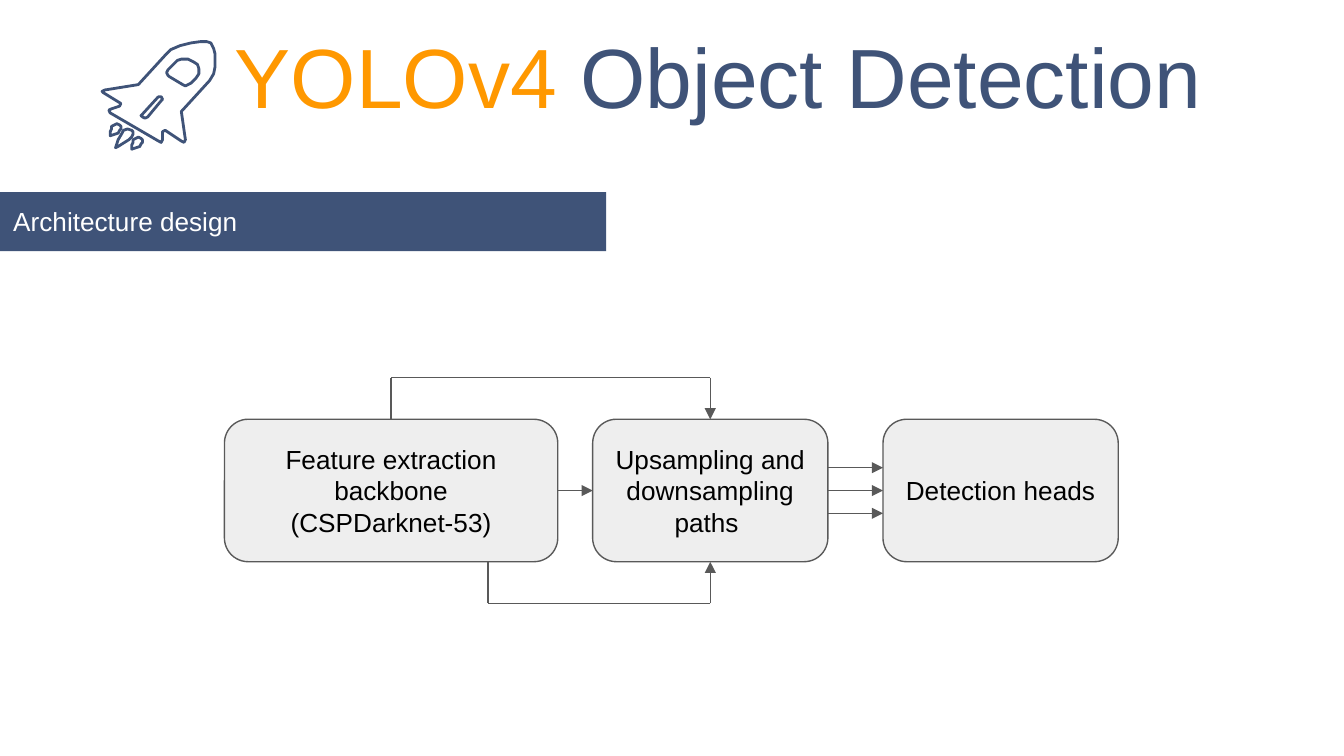
from lxml import etree
from pptx import Presentation
from pptx.dml.color import RGBColor
from pptx.enum.shapes import MSO_CONNECTOR, MSO_SHAPE
from pptx.enum.text import MSO_ANCHOR, PP_ALIGN
from pptx.oxml.ns import qn
from pptx.util import Inches, Pt

COLORS = {
    "navy": "3F5378",
    "orange": "FF9800",
    "white": "FFFFFF",
    "box": "EEEEEE",
    "outline": "595959",
    "text": "000000",
}
FONT = "Arial"
TOP, LEFT, BOTTOM, RIGHT = range(4)  # connection sites

# Rocket outlines in hundredths of an inch
HULL = [
    (138, 104), (135, 83), (156, 60), (159, 55), (160, 50),
    (160, 40), (159, 36), (157, 32), (154, 31), (149, 31),
    (142, 32), (134, 34), (127, 37), (124, 40), (103, 63),
    (78, 67), (76, 68), (77, 69), (90, 77), (89, 79),
    (83, 81), (81, 82), (82, 84), (118, 105), (120, 106),
    (121, 104), (121, 98), (123, 97), (135, 105), (137, 106),
]
SLOT = [
    (110, 87), (108, 88), (106, 87), (105, 86), (106, 85),
    (117, 73), (118, 72), (120, 72), (121, 74), (120, 75),
]
WINDOW = [
    (142, 62), (140, 63), (138, 64), (136, 63), (126, 57),
    (125, 56), (124, 54), (125, 52), (129, 48), (132, 45),
    (135, 44), (140, 44), (144, 46), (147, 48), (148, 51),
    (148, 55), (146, 58),
]
LARGE_FLAME = [
    (98, 97), (95, 96), (92, 97), (91, 99), (88, 104), (86, 110),
    (88, 109), (96, 104), (98, 102), (99, 100), (99, 98),
]
SMALL_FLAME = [
    (89, 93), (87, 92), (85, 93), (83, 94), (83, 96), (82, 98),
    (82, 101), (85, 100), (88, 99), (89, 97), (90, 96), (90, 94),
]


def color(name):
    return RGBColor.from_string(COLORS[name])


def format_run(run, size, color_name):
    run.font.name = FONT
    run.font.size = Pt(size)
    run.font.color.rgb = color(color_name)


def set_margins(frame):
    frame.margin_left = frame.margin_right = Inches(0.1)
    frame.margin_top = frame.margin_bottom = Inches(0.1)
    frame.word_wrap = True


def add_title(slide, parts):
    shape = slide.shapes.add_textbox(Inches(1.65), Inches(0.08), Inches(7.84), Inches(1.27))
    frame = shape.text_frame
    set_margins(frame)
    for text, color_name in parts:
        run = frame.paragraphs[0].add_run()
        run.text = text
        format_run(run, 45, color_name)


def add_outline(slide, *contours):
    builder = slide.shapes.build_freeform(*contours[0][0], scale=Inches(0.01))
    builder.add_line_segments(contours[0][1:], close=True)
    for contour in contours[1:]:
        builder.move_to(*contour[0])
        builder.add_line_segments(contour[1:], close=True)
    shape = builder.convert_to_shape()
    shape.shadow.inherit = False
    shape.fill.background()
    shape.line.color.rgb = color("navy")
    shape.line.width = Pt(1.5)


def add_box(slide, kind, left, top, width, height, text, fill, text_color, align, anchor,
            outline=None):
    shape = slide.shapes.add_shape(kind, Inches(left), Inches(top), Inches(width), Inches(height))
    shape.shadow.inherit = False
    shape.fill.solid()
    shape.fill.fore_color.rgb = color(fill)
    if outline:
        shape.line.color.rgb = color(outline)
        shape.line.width = Pt(0.75)
    else:
        shape.line.fill.background()
    frame = shape.text_frame
    set_margins(frame)
    frame.vertical_anchor = anchor
    frame.text = text
    paragraph = frame.paragraphs[0]
    paragraph.alignment = align
    format_run(paragraph.runs[0], 14, text_color)
    return shape


def add_line(slide, start, end, arrow=True):
    points = [Inches(value) for value in (*start, *end)]
    connector = slide.shapes.add_connector(MSO_CONNECTOR.STRAIGHT, *points)
    connector.line.color.rgb = color("outline")
    connector.line.width = Pt(0.75)
    if arrow:
        tail = etree.SubElement(connector.line._get_or_add_ln(), qn("a:tailEnd"))
        tail.set("type", "triangle")
    etree.SubElement(connector._element.spPr, qn("a:effectLst"))
    return connector


def add_detour(slide, start_x, end_x, edge_y, level_y):
    """Route out from one box edge, along a level, and back into another box."""
    first = add_line(slide, (start_x, edge_y), (start_x, level_y), arrow=False)
    add_line(slide, (start_x, level_y), (end_x, level_y), arrow=False)
    last = add_line(slide, (end_x, level_y), (end_x, edge_y))
    return first, last


def main():
    presentation = Presentation()
    presentation.slide_width = Inches(10)
    presentation.slide_height = Inches(10) * 9 // 16
    slide = presentation.slides.add_slide(presentation.slide_layouts[6])

    # Title and rocket
    add_title(slide, [("YOLOv4 ", "orange"), ("Object Detection", "navy")])
    add_outline(slide, HULL, SLOT, WINDOW)
    add_outline(slide, LARGE_FLAME)
    add_outline(slide, SMALL_FLAME)
    add_outline(slide, [(x + 16, y + 10) for x, y in SMALL_FLAME])

    # Section bar
    add_box(slide, MSO_SHAPE.RECTANGLE, 0, 1.43, 4.51, 0.44, "Architecture design",
            "navy", "white", PP_ALIGN.LEFT, MSO_ANCHOR.TOP)

    # Stages of the detector
    top, height = 3.12, 1.06
    bottom, middle = top + height, top + height / 2
    stages = [
        (1.67, 2.48, "Feature extraction backbone (CSPDarknet-53)"),
        (4.41, 1.75, "Upsampling and downsampling paths "),
        (6.57, 1.75, "Detection heads"),
    ]
    backbone, paths, heads = [
        add_box(slide, MSO_SHAPE.ROUNDED_RECTANGLE, left, top, width, height, text,
                "box", "text", PP_ALIGN.CENTER, MSO_ANCHOR.MIDDLE, outline="outline")
        for left, width, text in stages
    ]

    # Straight arrows between the stages
    forward = add_line(slide, (4.15, middle), (4.41, middle))
    forward.begin_connect(backbone, RIGHT)
    forward.end_connect(paths, LEFT)
    for offset in (-0.17, 0, 0.17):
        arrow = add_line(slide, (6.16, middle + offset), (6.57, middle + offset))
        if offset == 0:
            arrow.begin_connect(paths, RIGHT)
            arrow.end_connect(heads, LEFT)

    # Detours above and below the stages
    gap, paths_center = 0.31, 4.41 + 1.75 / 2
    first, last = add_detour(slide, 2.91, paths_center, top, top - gap)
    first.begin_connect(backbone, TOP)
    last.end_connect(paths, TOP)
    _, last = add_detour(slide, 3.63, paths_center, bottom, bottom + gap)
    last.end_connect(paths, BOTTOM)

    presentation.save("out.pptx")


if __name__ == "__main__":
    main()
